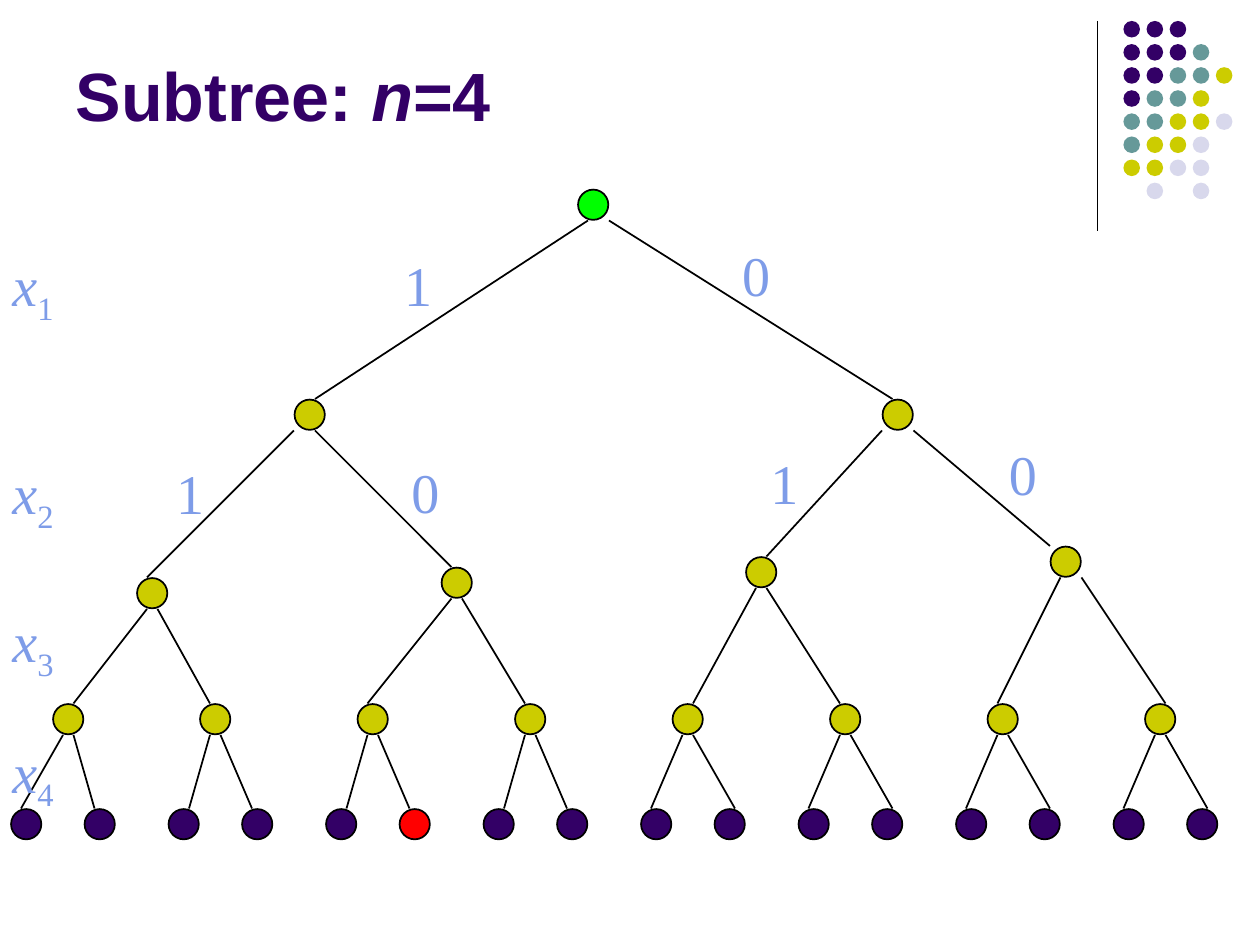
from pptx import Presentation
from pptx.dml.color import RGBColor
from pptx.enum.shapes import MSO_CONNECTOR, MSO_SHAPE
from pptx.enum.text import MSO_ANCHOR, PP_ALIGN
from pptx.oxml.ns import qn
from pptx.util import Inches, Pt
from lxml.etree import SubElement

PURPLE = RGBColor(0x33, 0x00, 0x66)
TEAL = RGBColor(0x66, 0x99, 0x99)
OLIVE = RGBColor(0xCC, 0xCC, 0x00)
LAVENDER = RGBColor(0xD8, 0xD8, 0xEC)
GREEN = RGBColor(0x00, 0xFF, 0x00)
RED = RGBColor(0xFF, 0x00, 0x00)
BLUE = RGBColor(0x7E, 0x9C, 0xE8)
BLACK = RGBColor(0x00, 0x00, 0x00)

# The grid has 12 cells to the inch: 120 columns by 90 rows
COLS, ROWS = 120, 90
CELL = 3  # a tree node stands in a square of 3 cells
NODE = 2.88

DOT_COLORS = {"P": PURPLE, "T": TEAL, "O": OLIVE, "L": LAVENDER}
DOT_ROWS = ["PPP", "PPPT", "PPTTO", "PTTO", "TTOOL", "TOOL", "OOLL", " L L"]

# Nodes as (column, row), level by level
LEVELS = [
    [(55, 18)],
    [(28, 38), (84, 38)],
    [(13, 55), (42, 54), (71, 53), (100, 52)],
    [(5, 67), (19, 67)] + [(34 + 15 * i, 67) for i in range(6)],
    [(first + 15 * i, 77) for i in range(8) for first in (1, 8)],
]
SOLUTION = (38, 77)

# Columns where each edge leaves its parent and meets its child
EDGES = [
    [(56, 30), (58, 85)],
    [(28, 14), (30, 43), (84, 73), (87, 100)],
    [(14, 7), (15, 20), (43, 35), (44, 50),
     (72, 66), (73, 80), (101, 95), (103, 111)],
    list(zip([c + k for c, _ in LEVELS[3] for k in (1, 2)],
             [2, 9, 18, 24, 33, 39, 48, 54,
              62, 70, 77, 85, 92, 100, 107, 115])),
]

# Branch labels: text, column, row, width
BRANCHES = [
    ("1", 37.3, 23.3, 7.3), ("0", 69.5, 22.3, 6.1),
    ("1", 15.6, 43.1, 7.3), ("0", 38, 43, 5.9),
    ("1", 72.2, 42.1, 5.4), ("0", 94.9, 41.3, 5.6),
]
# Variable labels: index, row, width
VARIABLES = [("1", 23.3, 14), ("2", 43.1, 7.1), ("3", 57.2, 7.1), ("4", 69.6, 7.1)]


def grid(n):
    return Inches(n / 12)


def add_line(slide, x1, y1, x2, y2, width=1):
    line = slide.shapes.add_connector(
        MSO_CONNECTOR.STRAIGHT, grid(x1), grid(y1), grid(x2), grid(y2))
    line.line.color.rgb = BLACK
    line.line.width = Pt(width)
    SubElement(line._element.spPr, qn("a:effectLst"))


def add_circle(slide, x, y, size, color, outlined):
    sp = slide.shapes.add_shape(
        MSO_SHAPE.OVAL, grid(x), grid(y), grid(size), grid(size))
    sp.shadow.inherit = False
    sp.fill.solid()
    sp.fill.fore_color.rgb = color
    if outlined:
        sp.line.color.rgb = BLACK
        sp.line.width = Pt(1)
    else:
        sp.line.fill.background()


def add_label(slide, text, x, y, width, subscript=""):
    tf = slide.shapes.add_textbox(grid(x), grid(y), grid(width), grid(7.6)).text_frame
    tf.word_wrap = True
    p = tf.paragraphs[0]
    p.font.size = Pt(32)
    p.font.name = "Times New Roman"
    p.font.color.rgb = BLUE
    r = p.add_run()
    r.text = text
    if subscript:
        r.font.italic = True
        r = p.add_run()
        r.text = subscript
        r._r.get_or_add_rPr().set("baseline", "-25000")


def draw_ornament(slide, left, top, height, pitch=2.2, dot=1.58):
    """Vertical rule with a field of dots to its right."""
    add_line(slide, left, top, left, top + height, 0.75)
    for row, marks in enumerate(DOT_ROWS):
        for col, mark in enumerate(marks):
            if mark in DOT_COLORS:
                add_circle(slide, left + 2.5 + col * pitch, top + row * pitch,
                           dot, DOT_COLORS[mark], False)


def draw_title(slide, left, top, width, height):
    title = slide.shapes.title
    title.left, title.top = grid(left), grid(top)
    title.width, title.height = grid(width), grid(height)
    tf = title.text_frame
    tf.vertical_anchor = MSO_ANCHOR.MIDDLE
    p = tf.paragraphs[0]
    p.alignment = PP_ALIGN.LEFT
    p.font.size = Pt(39)
    p.font.name = "Arial"
    p.font.bold = True
    p.font.color.rgb = PURPLE
    for text, italic in (("Subtree: ", False), ("n", True), ("=4", False)):
        r = p.add_run()
        r.text = text
        r.font.italic = italic


def node_color(level, node):
    if node == SOLUTION:
        return RED
    return {0: GREEN, len(LEVELS) - 1: PURPLE}.get(level, OLIVE)


def draw_tree(slide, left, top):
    # Edges: two from each parent
    for parents, children, edges in zip(LEVELS, LEVELS[1:], EDGES):
        for i, (start, end) in enumerate(edges):
            add_line(slide, left + start, top + parents[i // 2][1] + CELL,
                     left + end, top + children[i][1])
    # Nodes
    inset = (CELL - NODE) / 2
    for level, nodes in enumerate(LEVELS):
        for x, y in nodes:
            add_circle(slide, left + x + inset, top + y + inset, NODE,
                       node_color(level, (x, y)), True)
    # Labels
    for text, x, y, width in BRANCHES:
        add_label(slide, text, left + x, top + y, width)
    for index, y, width in VARIABLES:
        add_label(slide, "x", left, top + y, width, index)


def main():
    prs = Presentation()
    prs.slide_width, prs.slide_height = grid(COLS), grid(ROWS)
    slide = prs.slides.add_slide(prs.slide_layouts[5])
    draw_ornament(slide, 104.5, 2, 20)
    draw_title(slide, 6, 1.6, 99, 14.8)
    draw_tree(slide, 0, 0)
    prs.save("out.pptx")


if __name__ == "__main__":
    main()
